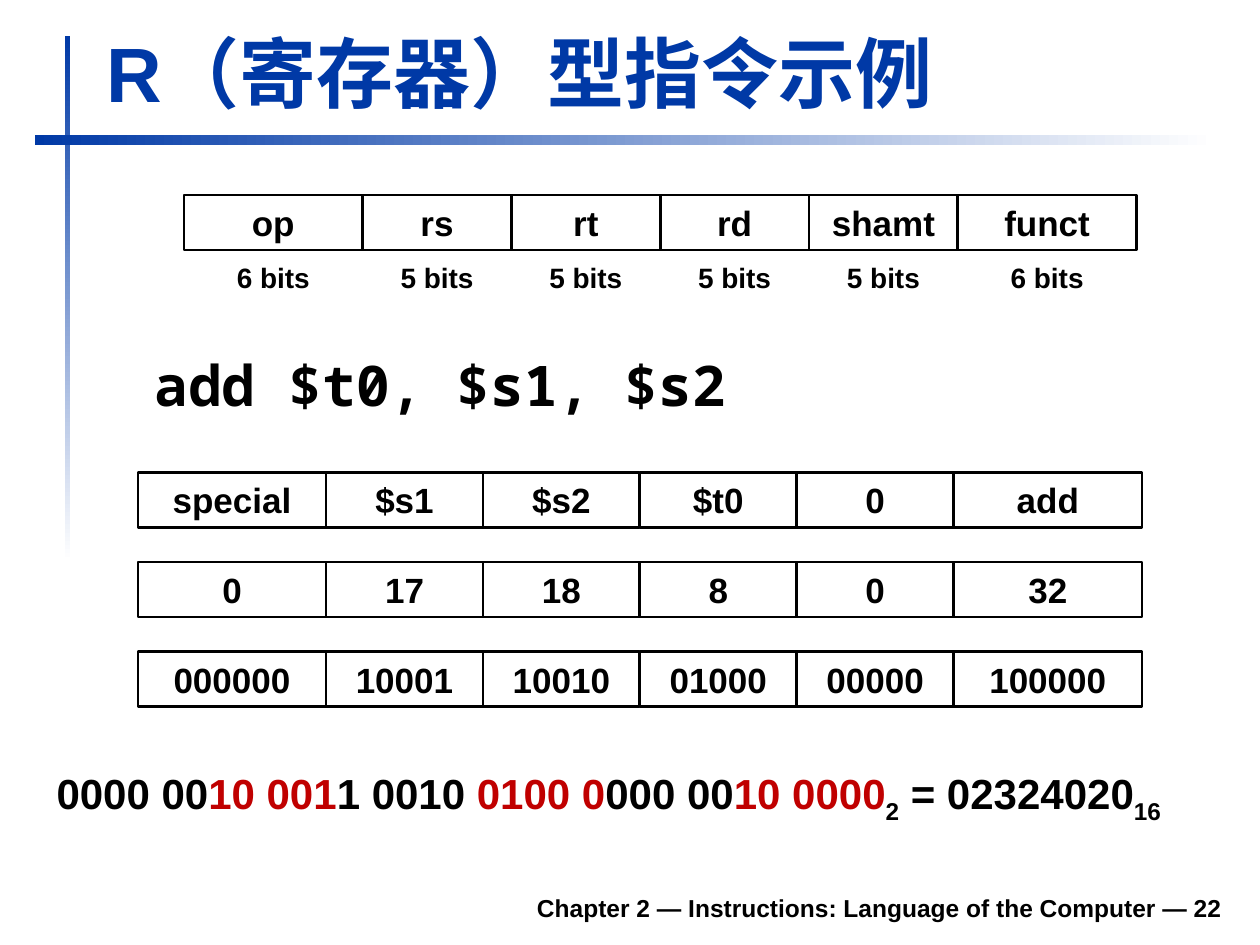
from lxml.etree import SubElement
from pptx import Presentation
from pptx.dml.color import RGBColor
from pptx.enum.shapes import MSO_SHAPE
from pptx.enum.text import MSO_ANCHOR, MSO_AUTO_SIZE, PP_ALIGN
from pptx.oxml.ns import qn
from pptx.util import Cm, Pt

TITLE = "R（寄存器）型指令示例"
INSTRUCTION = "add $t0, $s1, $s2"
FOOTER = "Chapter 2 — Instructions: Language of the Computer — 22"
FIELD_BITS = [6, 5, 5, 5, 5, 6]
FIELD_NAMES = ["op", "rs", "rt", "rd", "shamt", "funct"]
ENCODINGS = [
    ["special", "$s1", "$s2", "$t0", "0", "add"],
    ["0", "17", "18", "8", "0", "32"],
    ["000000", "10001", "10010", "01000", "00000", "100000"],
]
# text, colour, is subscript
MACHINE_CODE = [
    ("0000 00", "ink", False),
    ("10 001", "accent", False),
    ("1 0010 ", "ink", False),
    ("0100 0", "accent", False),
    ("000 00", "ink", False),
    ("10 0000", "accent", False),
    ("2", "ink", True),
    (" = 02324020", "ink", False),
    ("16", "ink", True),
]
COLORS = {"ink": "000000", "accent": "C00000", "blue": "0039A6", "white": "FFFFFF"}
SANS, MONO = "Arial", "Noto Sans Mono"
ROW_HEIGHT = 1.11


def color(name):
    return RGBColor.from_string(COLORS[name])


def place(shape, left, top, width, height):
    shape.left, shape.top = Cm(left), Cm(top)
    shape.width, shape.height = Cm(width), Cm(height)


def style(para, size, name="ink", face=SANS, align=PP_ALIGN.LEFT):
    para.alignment = align
    para.font.size, para.font.name, para.font.bold = Pt(size), face, True
    para.font.color.rgb = color(name)


def add_rectangle(page, left, top, width, height):
    box = page.shapes.add_shape(
        MSO_SHAPE.RECTANGLE, Cm(left), Cm(top), Cm(width), Cm(height))
    box.shadow.inherit = False
    return box


def add_text(page, text, left, top, width, height, size, align):
    box = page.shapes.add_textbox(Cm(left), Cm(top), Cm(width), Cm(height))
    box.text_frame.word_wrap = True
    para = box.text_frame.paragraphs[0]
    para.text = text
    style(para, size, align=align)
    return box


def add_fading_bar(page, left, top, width, height, angle):
    bar = add_rectangle(page, left, top, width, height)
    bar.line.fill.background()
    bar.fill.gradient()
    bar.fill.gradient_angle = angle
    for stop, name in zip(bar.fill.gradient_stops, ("blue", "white")):
        stop.color.rgb = color(name)


def field_spans(left, total):
    """Yield the left edge and width of each field, in proportion to its bits."""
    unit = total / sum(FIELD_BITS)
    for bits in FIELD_BITS:
        yield left, bits * unit
        left += bits * unit


def add_field_row(page, labels, left, top, total):
    for label, (x, width) in zip(labels, field_spans(left, total)):
        cell = add_rectangle(page, x, top, width, ROW_HEIGHT)
        cell.fill.background()
        cell.line.color.rgb = color("ink")
        cell.line.width = Pt(1.5)
        cell.text_frame.vertical_anchor = MSO_ANCHOR.MIDDLE
        para = cell.text_frame.paragraphs[0]
        para.text = label
        style(para, 20, align=PP_ALIGN.CENTER)


def fill_placeholder(shape, text, anchor):
    frame = shape.text_frame
    frame.auto_size, frame.vertical_anchor = MSO_AUTO_SIZE.NONE, anchor
    para = frame.paragraphs[0]
    para.text = text
    return para


def add_headings(page):
    title, body = page.placeholders
    place(title, 1.9, 0.4, 22.94, 2.1)
    style(fill_placeholder(title, TITLE, MSO_ANCHOR.BOTTOM), 44, "blue")

    place(body, 1.9, 6.93, 22.96, 1.8)
    para = fill_placeholder(body, INSTRUCTION, MSO_ANCHOR.TOP)
    properties = para._p.get_or_add_pPr()
    properties.set("marL", str(Cm(0.96)))
    properties.set("indent", "0")
    SubElement(properties, qn("a:buNone"))
    style(para, 32, face=MONO)
    para.space_before = Pt(0)


def add_machine_code(page):
    box = add_text(page, "", 0.89, 15.35, 23.82, 1.4, 24, PP_ALIGN.LEFT)
    para = box.text_frame.paragraphs[0]
    for text, name, subscript in MACHINE_CODE:
        span = para.add_run()
        span.text = text
        span.font.color.rgb = color(name)
        if subscript:
            span.font._element.set("baseline", "-25000")


def main():
    deck = Presentation()
    deck.slide_width, deck.slide_height = Cm(25.4), Cm(19.05)
    page = deck.slides.add_slide(deck.slide_layouts[1])

    add_fading_bar(page, 1.31, 0.72, 0.1, 10.6, 270)
    add_fading_bar(page, 0.7, 2.72, 23.8, 0.21, 0)
    add_headings(page)

    format_left, format_width = 3.71, 19.2
    add_field_row(page, FIELD_NAMES, format_left, 3.93, format_width)
    for bits, (x, width) in zip(FIELD_BITS, field_spans(format_left, format_width)):
        add_text(page, f"{bits} bits", x, 5.13, width, 0.94, 16, PP_ALIGN.CENTER)

    for index, labels in enumerate(ENCODINGS):
        add_field_row(page, labels, 2.78, 9.52 + index * 1.81, 20.24)

    add_machine_code(page)
    footer = add_text(page, FOOTER, 4.7, 17.74, 20.19, 0.98, 14, PP_ALIGN.RIGHT)
    footer.text_frame.vertical_anchor = MSO_ANCHOR.BOTTOM
    deck.save("out.pptx")


if __name__ == "__main__":
    main()
